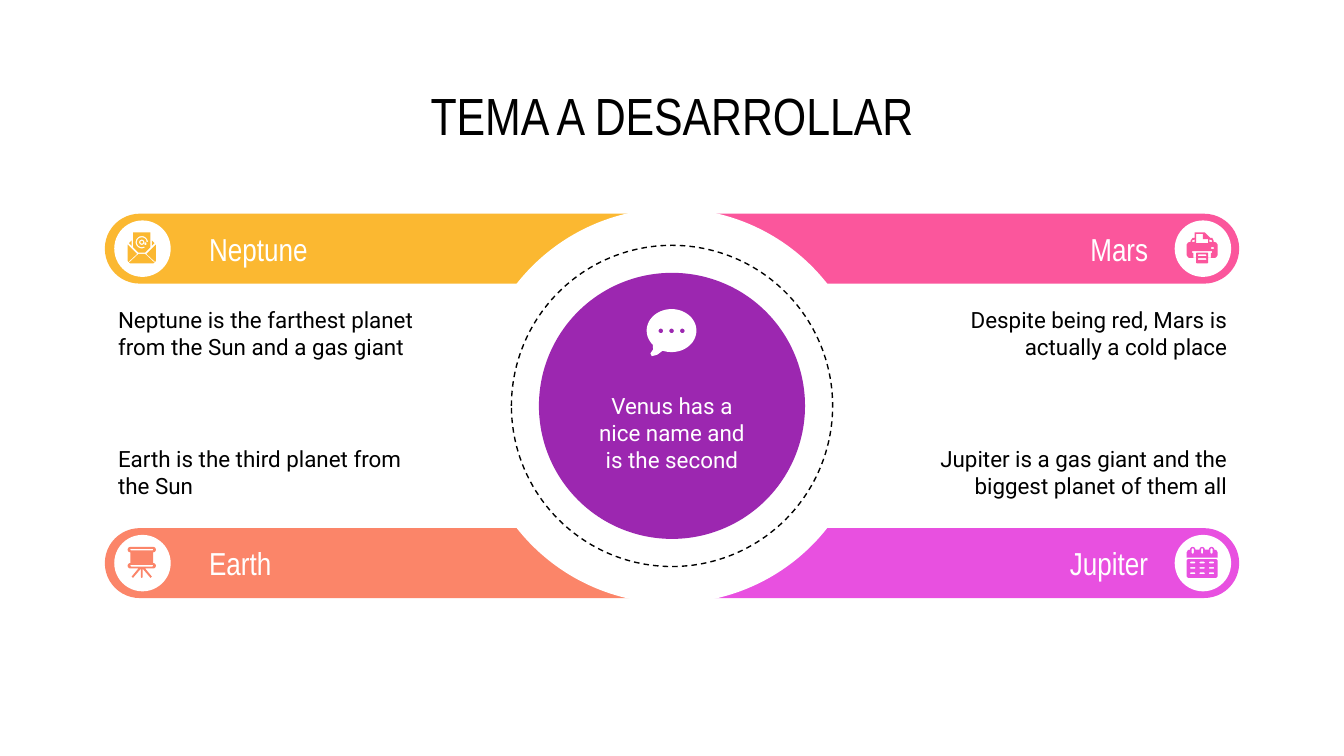
from math import cos, radians, sin

from pptx import Presentation
from pptx.dml.color import RGBColor
from pptx.enum.dml import MSO_LINE_DASH_STYLE as Dash
from pptx.enum.shapes import MSO_SHAPE as Kind
from pptx.enum.text import MSO_ANCHOR as Anchor, PP_ALIGN as Align
from pptx.util import Inches, Pt

WHITE, BLACK, PURPLE = "FFFFFF", "000000", "9C27B0"
HEAD, BODY = "Arial Narrow", "Roboto"


def color(code):
    return RGBColor.from_string(code)


def write(shape, text, size, font, code, align=Align.LEFT, pads=(0.1, 0.1, 0.1, 0.1)):
    frame = shape.text_frame
    frame.text = text
    frame.word_wrap = True
    frame.vertical_anchor = Anchor.MIDDLE
    (frame.margin_left, frame.margin_top,
     frame.margin_right, frame.margin_bottom) = map(Inches, pads)
    para = frame.paragraphs[0]
    para.alignment = align
    face = para.runs[0].font
    face.size, face.name = Pt(size), font
    face.color.rgb = color(code)


def paint(shape, fill):
    shape.shadow.inherit = False
    shape.line.fill.background()
    if fill:
        shape.fill.solid()
        shape.fill.fore_color.rgb = color(fill)
    else:
        shape.fill.background()


def add(slide, kind, x, y, w, h, fill=None):
    shape = slide.shapes.add_shape(kind, *map(Inches, (x, y, w, h)))
    paint(shape, fill)
    return shape


# Icon outlines are lists of points in hundredths of an inch.
# An outline inside another one cuts a hole.

def arc(cx, cy, rx, ry, start, end, steps=24):
    turns = [radians(start + (end - start) * i / steps) for i in range(steps + 1)]
    return [(cx + rx * cos(t), cy + ry * sin(t)) for t in turns]


def block(x, y, w, h, r=0):
    """Rectangle with corners of radius r."""
    if not r:
        return [(x, y), (x + w, y), (x + w, y + h), (x, y + h)]
    hubs = [(x + w - r, y + h - r), (x + r, y + h - r), (x + r, y + r), (x + w - r, y + r)]
    return [p for i, (cx, cy) in enumerate(hubs)
            for p in arc(cx, cy, r, r, 90 * i, 90 * i + 90, 5)]


def pair(points):
    """An outline and its mirror image across the middle of a badge."""
    return [points, [(41 - x, y) for x, y in points]]


def mail():
    paper = [(14, 9), (27, 9), (27, 20), (23, 24), (18, 24), (14, 20)]
    ring = arc(20.5, 16.3, 4.6, 4.6, 60, 360) + arc(20.5, 16.3, 3.6, 3.6, 360, 60)
    back = [(18, 25), (23, 25), (30, 31.5), (29, 32), (12, 32), (11, 31.5)]
    return [paper, ring, arc(20.5, 16.3, 2, 2, 0, 360), arc(20.5, 16.3, 1, 1, 0, 360),
            block(22.5, 16.3, 1.5, 2.2, 0.7), back,
            *pair([(10, 18), (10, 30), (10.5, 31), (17, 25)]),
            *pair([(13, 15), (11, 17), (13, 19)])]


def board():
    rails = [part for y in (9, 21)
             for part in (block(10, y, 21, 4, 2), block(12, y + 1.4, 17, 1.2, 0.6))]
    return [*rails, block(12, 13, 17, 8), block(19.9, 25, 1.2, 7, 0.6),
            *pair([(18, 25), (20, 25), (14, 32), (13, 31)])]


def printer():
    body = [(12, 16), (12, 15), (13.5, 13), (15, 13), (15, 9), (22.5, 9), (26.5, 13),
            (28, 13), (29, 15), (29, 16), (31, 16.5), (32, 18), (32, 26), (31, 27.5),
            (30, 28), (11, 28), (10, 27.5), (9, 26), (9, 18), (10, 16.5)]
    page = [(16, 10), (21, 10), (21, 14), (25, 14), (25, 17), (16, 17)]
    slot = [(13, 23), (28, 23), (28, 24.3), (27, 24.3), (27, 28),
            (14, 28), (14, 24.3), (13, 24.3)]
    return [body, page, slot, *pair([(15, 14.2), (15, 16), (13, 16), (13, 15)]),
            block(27, 20, 2.4, 1.2, 0.6), block(16, 24, 9, 8, 0.8),
            *[block(17.3, y, 6.4, 1.3, 0.6) for y in (25.4, 28.2)]]


def dates():
    cols = (13.5, 20.5, 27.5)
    rings = [p for c in cols
             for p in [(c - 2, 11), *arc(c, 11, 2, 2, 180, 360, 8), (c + 2, 11)]]
    top = [(9, 17), (9, 13), (10, 11.3), *rings, (31, 11.3), (32, 13), (32, 17)]
    days = [block(c - 2, y, 4, 1.2, 0.6) for c in cols for y in (20, 24, 28)]
    return [top, *[block(c - 0.8, 10, 1.6, 4, 0.8) for c in cols],
            block(9, 18, 23, 14, 1.5), *days]


def chat():
    tail = [(12, 31), (8, 34), (4, 35), (3, 33), (5, 30)]
    return [arc(18.7, 16, 18.5, 16, 139, 472, 60) + tail,
            *[arc(x, 16.2, 1.7, 1.7, 0, 360) for x in (10.7, 18.7, 26.7)]]


def draw(slide, x, y, outlines, fill):
    pen = None
    for points in outlines:
        fine = [(px * 100, py * 100) for px, py in points]
        if pen is None:
            pen = slide.shapes.build_freeform(*fine[0], scale=Inches(0.01) / 100)
        else:
            pen.move_to(*fine[0])
        pen.add_line_segments(fine[1:], close=True)
    paint(pen.convert_to_shape(Inches(x), Inches(y)), fill)


def card(slide, x, y, name, text, fill, icon, right, low):
    """Bar with a badge, and its text below, or above when low."""
    side = Align.RIGHT if right else Align.LEFT
    top = y + 0.71 if low else y
    bar = add(slide, Kind.ROUNDED_RECTANGLE, x, top, 4.22, 0.52, fill)
    bar.adjustments[0] = 0.5
    pads = (0.1, 0.1, 0.6, 0.1) if right else (0.7, 0.1, 0.1, 0.1)
    write(bar, name, 17, HEAD, WHITE, side, pads)
    note = slide.shapes.add_textbox(
        Inches(x + 1.75 if right else x), Inches(y if low else y + 0.6),
        Inches(2.48), Inches(0.58))
    write(note, text, 12, BODY, BLACK, side)
    spot = x + (3.74 if right else 0.07)
    add(slide, Kind.OVAL, spot, top + 0.05, 0.42, 0.42, WHITE)
    draw(slide, spot, top + 0.05, icon, fill)


def hub(slide, x, y, size):
    """Concentric circles; x and y are the centre."""
    def disc(wide, fill=None):
        return add(slide, Kind.OVAL, x - wide / 2, y - wide / 2, wide, wide, fill)

    disc(size, WHITE)
    ring = disc(2.39)
    ring.line.color.rgb = color(BLACK)
    ring.line.width = Pt(0.75)
    ring.line.dash_style = Dash.DASH
    core = disc(1.98, PURPLE)
    write(core, "Venus has a nice name and is the second", 12, BODY, WHITE,
          Align.CENTER, (0.1, 0.5, 0.1, 0.1))
    draw(slide, x - 0.19, y - 0.72, chat(), WHITE)


def heading(slide, x, y, w, h, text):
    title = slide.shapes.title
    title.left, title.top, title.width, title.height = map(Inches, (x, y, w, h))
    write(title, text, 28, HEAD, BLACK, Align.CENTER)


def main():
    deck = Presentation()
    deck.slide_width = Inches(10)
    deck.slide_height = deck.slide_width * 9 // 16
    slide = deck.slides.add_slide(deck.slide_layouts[5])
    heading(slide, 0.78, 0.59, 8.44, 0.53, "TEMA A DESARROLLAR")
    cards = [
        ("Neptune", "Neptune is the farthest planet from the Sun and a gas giant",
         "FBB831", mail()),
        ("Earth", "Earth is the third planet from the Sun", "FB8569", board()),
        ("Mars", "Despite being red, Mars is actually a cold place", "FB569C", printer()),
        ("Jupiter", "Jupiter is a gas giant and the biggest planet of them all",
         "E850E0", dates()),
    ]
    for i, parts in enumerate(cards):
        right, low = divmod(i, 2)
        card(slide, 5 if right else 0.78, 3.22 if low else 1.59, *parts, right, low)
    hub(slide, 5, 3.02, 2.94)
    deck.save("out.pptx")


if __name__ == "__main__":
    main()
